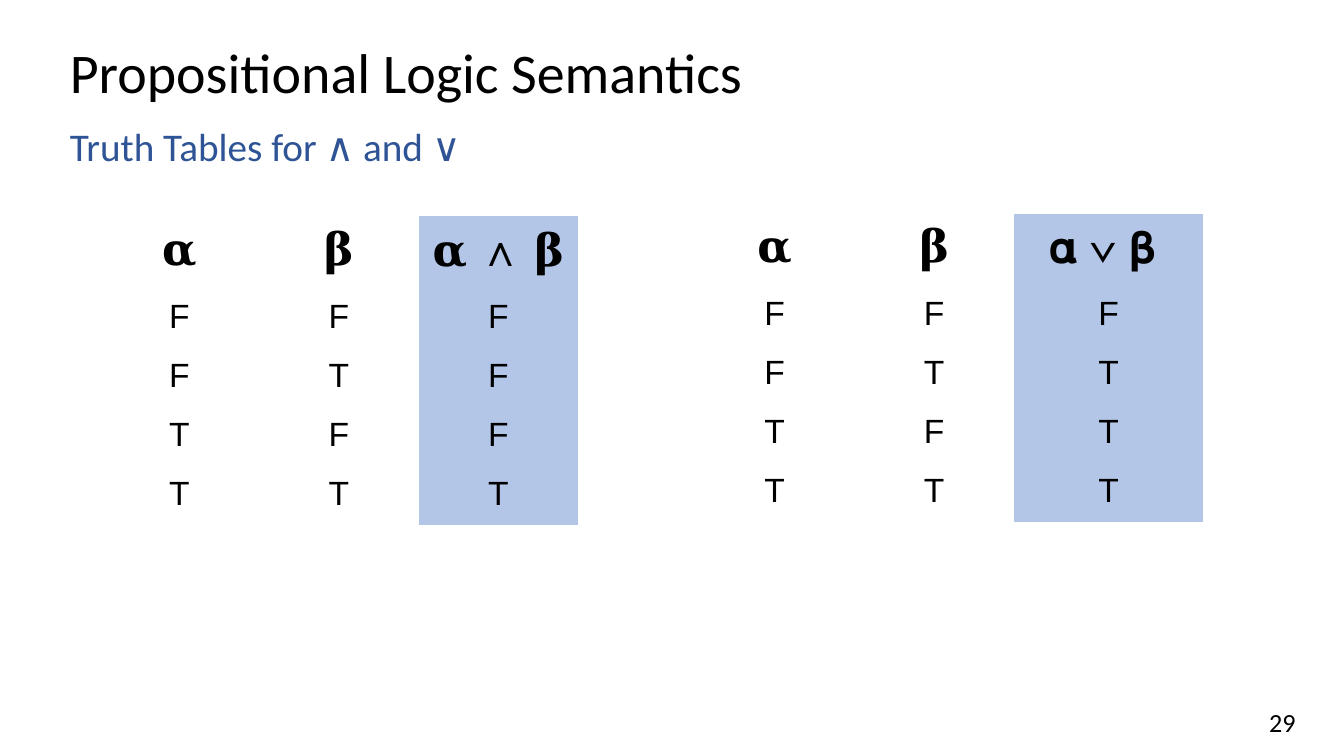
from pptx import Presentation
from pptx.dml.color import RGBColor
from pptx.enum.text import MSO_ANCHOR as Anchor, PP_ALIGN as Align
from pptx.oxml.ns import qn
from pptx.util import Pt

BLACK = RGBColor(0x00, 0x00, 0x00)
BLUE = RGBColor(0x2F, 0x54, 0x96)
PALE_BLUE = RGBColor(0xB3, 0xC6, 0xE7)
NO_STYLE_NO_GRID = "{2D5ABB26-0587-4C30-8999-92F81FD0307C}"
SERIF, SANS = "Times New Roman", "Arial"

# Content: text, (left, top, width, height), font, alignment, anchor, line spacing
TEXTS = [
    ("Propositional Logic Semantics", (32.4, 21.6, 620.6, 37.4),
     {"size": Pt(30), "name": "Calibri"}, BLACK, Align.LEFT, Anchor.MIDDLE, 0.9),
    ("Truth Tables for ∧ and ∨", (32.4, 65.5, 620.6, 120.2),
     {"size": Pt(21), "name": "Calibri"}, BLUE, Align.LEFT, Anchor.TOP, 0.9),
    ("29", (537.1, 375.8, 162, 21.6),
     {"size": Pt(14), "name": "Calibri"}, BLACK, Align.RIGHT, Anchor.MIDDLE, 1),
]
INPUTS = ["FF", "FT", "TF", "TT"]
TRUTH_TABLES = [
    {"at": (53.3, 115.9), "columns": (85.5, 85.5, 85.5), "results": "FFFT",
     "heading": [("𝛂 ", SERIF), ("∧", SANS), (" 𝛃", SERIF)]},
    {"at": (372.2, 114.5), "columns": (85.5, 85.5, 101.5), "results": "FTTT",
     "heading": [("𝛂 ∨ 𝛃 ", SANS)]},
]
ROW_HEIGHT = 22.5


def add_span(para, text, font, color):
    span = para.add_run()
    span.text = text
    for name, value in font.items():
        setattr(span.font, name, value)
    span.font.color.rgb = color


def set_margins(target, across, down):
    target.margin_left = target.margin_right = Pt(across)
    target.margin_top = target.margin_bottom = Pt(down)


def add_text(page, text, place, font, color, alignment, anchor, spacing):
    frame = page.shapes.add_textbox(*map(Pt, place)).text_frame
    frame.word_wrap = True
    frame.vertical_anchor = anchor
    set_margins(frame, 5, 2.7)
    para = frame.paragraphs[0]
    para.alignment = alignment
    para.line_spacing = spacing
    add_span(para, text, font, color)


def add_truth_table(page, at, columns, results, heading):
    header = [[("𝛂", SERIF)], [("𝛃", SERIF)], heading]
    rows = [header] + [[[(value, SANS)] for value in pair + result]
                       for pair, result in zip(INPUTS, results)]
    place = (*at, sum(columns), ROW_HEIGHT * len(rows))
    shape = page.shapes.add_table(len(rows), len(columns), *map(Pt, place))
    for style in shape.element.iter(qn("a:tableStyleId")):
        style.text = NO_STYLE_NO_GRID
    table = shape.table
    table.first_row = table.horz_banding = False
    for column, width in zip(table.columns, columns):
        column.width = Pt(width)
    for r, row in enumerate(rows):
        for c, spans in enumerate(row):
            cell = table.cell(r, c)
            set_margins(cell, 5, 5)
            # The result column is shaded
            if c == len(columns) - 1:
                cell.fill.solid()
                cell.fill.fore_color.rgb = PALE_BLUE
            else:
                cell.fill.background()
            para = cell.text_frame.paragraphs[0]
            para.alignment = Align.CENTER
            for text, name in spans:
                size = Pt(18 if r else 24)
                add_span(para, text, {"size": size, "name": name}, BLACK)


deck = Presentation()
deck.slide_width, deck.slide_height = Pt(720), Pt(405)
page = deck.slides.add_slide(deck.slide_layouts[6])

# Title, subtitle and page number
for item in TEXTS:
    add_text(page, *item)

# Truth tables
for entry in TRUTH_TABLES:
    add_truth_table(page, **entry)

deck.save("out.pptx")
